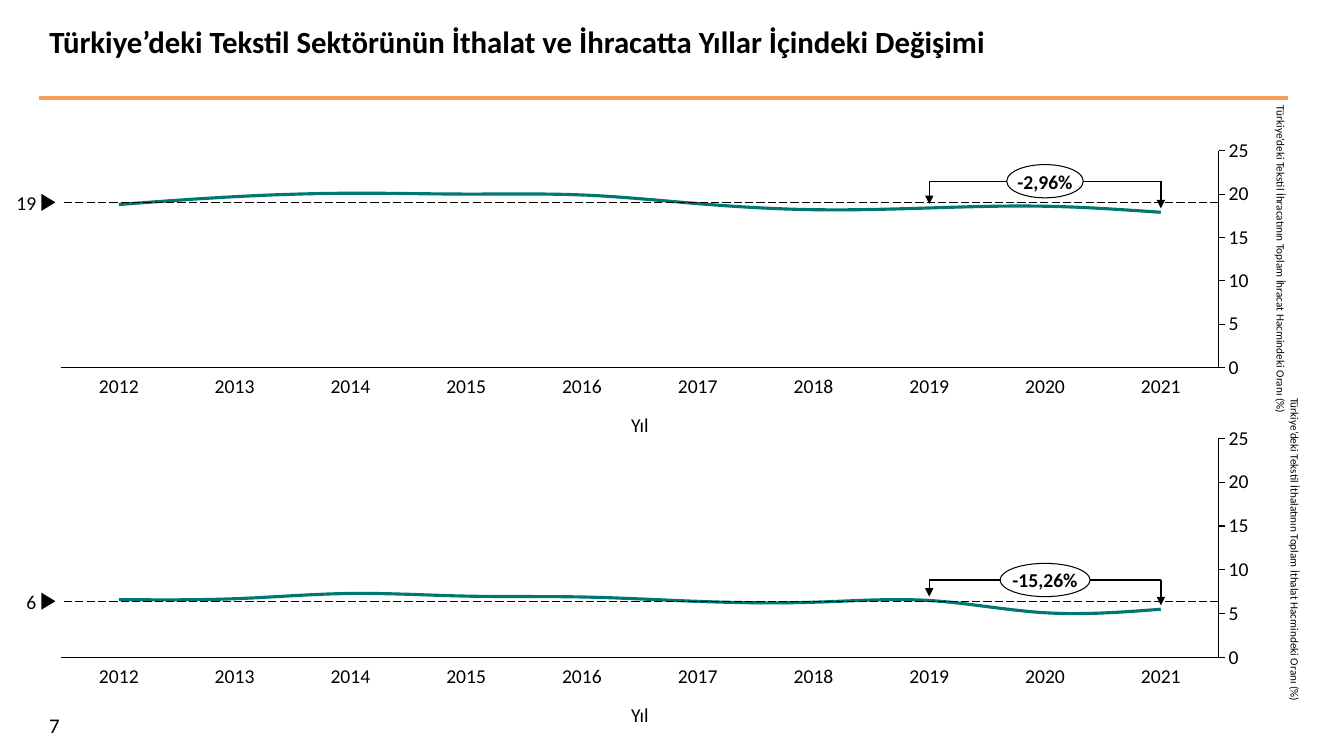
from dataclasses import dataclass

from lxml.etree import SubElement
from pptx import Presentation
from pptx.chart.data import CategoryChartData
from pptx.dml.color import RGBColor
from pptx.enum.chart import XL_CHART_TYPE as ChartType, XL_TICK_LABEL_POSITION as TickLabels
from pptx.enum.chart import XL_AXIS_CROSSES as Crosses, XL_TICK_MARK as TickMark
from pptx.enum.dml import MSO_LINE as Dash
from pptx.enum.shapes import MSO_CONNECTOR as Connector, MSO_SHAPE as Shape
from pptx.enum.text import MSO_ANCHOR as Anchor, PP_ALIGN as Align
from pptx.oxml import parse_xml
from pptx.oxml.ns import nsdecls, qn
from pptx.util import Inches, Pt

TITLE = "Türkiye’deki Tekstil Sektörünün İthalat ve İhracatta Yıllar İçindeki Değişimi"
PAGE_NUMBER = "7"
YEAR_TITLE = "Yıl"
YEARS = range(2012, 2022)
CHANGE_YEARS = (2019, 2021)
AXIS_MAX, AXIS_STEP = 25, 5
PANELS = [
    dict(axis_title="Türkiye’deki Tekstil İhracatının Toplam İhracat Hacmindeki Oranı (%)",
         axis_title_box=(12.64, 1.05, 0.13, 3.03),
         shares=[18.8, 19.7, 20.1, 20, 19.9, 18.9, 18.2, 18.4, 18.6, 17.9],
         mean_label="19", change="-2,96%", bubble_width=0.76, top=1.27, height=2.6),
    dict(axis_title="Türkiye’deki Tekstil İthalatının Toplam İthalat Hacmindeki Oranı (%)",
         axis_title_box=(12.78, 3.95, 0.13, 2.98),
         shares=[6.6, 6.7, 7.3, 7, 6.9, 6.4, 6.3, 6.5, 5.1, 5.5],
         mean_label="6", change="-15,26%", bubble_width=0.89, top=4.12, height=2.63),
]


@dataclass(frozen=True)
class Theme:
    font: str = "Calibri"
    ink: RGBColor = RGBColor(0, 0, 0)
    paper: RGBColor = RGBColor(255, 255, 255)
    accent: RGBColor = RGBColor(0xF8, 0x9D, 0x56)
    curve: RGBColor = RGBColor(0x00, 0x77, 0x70)
    title_size: float = 22
    page_size: float = 14.9
    label_size: float = 14
    chart_size: float = 10
    axis_title_size: float = 8


THEME = Theme()
CHART_LEFT, CHART_WIDTH = 0.52, 12.1
PLOT = dict(x=0.007, y=0.087, w=0.949, h=0.827)  # shares of the chart's size
PLOT_LEFT = CHART_LEFT + PLOT["x"] * CHART_WIDTH
PLOT_WIDTH = PLOT["w"] * CHART_WIDTH
YEAR_X = {year: PLOT_LEFT + (i + 0.5) * PLOT_WIDTH / len(YEARS) for i, year in enumerate(YEARS)}
LABEL_HEIGHT = 0.23


def inches(*lengths):
    return [Inches(length) for length in lengths]


def set_font(font, size, bold=False):
    font.name, font.size, font.bold = THEME.font, Pt(size), bold
    font.color.rgb = THEME.ink


def write(frame, text, size, align, anchor=Anchor.TOP, bold=False, wrap=False, insets=(0, 0)):
    frame.word_wrap, frame.vertical_anchor = wrap, anchor
    frame.margin_left = frame.margin_right = Inches(insets[0])
    frame.margin_top = frame.margin_bottom = Inches(insets[1])
    paragraph = frame.paragraphs[0]
    paragraph.text, paragraph.alignment = text, align
    set_font(paragraph.font, size, bold)


def add_label(slide, box, text, size=THEME.label_size, align=Align.CENTER, **options):
    frame = slide.shapes.add_textbox(*inches(*box)).text_frame
    write(frame, text, size, align, **options)
    return frame


def set_line(line, width, color=THEME.ink):
    line.width = Pt(width)
    line.color.rgb = color


def add_line(slide, start, end, width, color=THEME.ink, dash=None, arrow=False):
    connector = slide.shapes.add_connector(Connector.STRAIGHT, *inches(*start, *end))
    set_line(connector.line, width, color)
    if dash:
        connector.line.dash_style = dash
    if arrow:
        SubElement(connector.line._get_or_add_ln(), qn("a:tailEnd"), type="triangle")
    SubElement(connector._element.spPr, qn("a:effectLst"))


def add_filled(slide, kind, box, color):
    shape = slide.shapes.add_shape(kind, *inches(*box))
    shape.shadow.inherit = False
    shape.fill.solid()
    shape.fill.fore_color.rgb = color
    return shape


def fix_plot_area(chart):
    """Pin the inner plot area so that the labels drawn around it line up."""
    plot_area = chart._chartSpace.chart.plotArea
    for layout in plot_area.findall(qn("c:layout")):
        plot_area.remove(layout)
    places = dict(layoutTarget="inner", xMode="edge", yMode="edge", **PLOT)
    marks = "".join(f'<c:{tag} val="{value}"/>' for tag, value in places.items())
    plot_area.insert(0, parse_xml(
        f'<c:layout {nsdecls("c")}><c:manualLayout>{marks}</c:manualLayout></c:layout>'))


def move_to_right(value_axis):
    """Let the value axis cross after the last category, with its labels outside."""
    element = value_axis._element
    element.find(qn("c:axPos")).set("val", "r")
    crosses = element.find(qn("c:crosses"))
    crosses.set("val", "max")
    if element.find(qn("c:crossBetween")) is None:
        crosses.addnext(parse_xml(f'<c:crossBetween {nsdecls("c")} val="between"/>'))
    value_axis.tick_label_position = TickLabels.HIGH


def add_share_chart(slide, panel):
    data = CategoryChartData()
    data.categories = [str(number) for number in range(1, len(YEARS) + 1)]
    data.add_series("Series 1", panel["shares"])
    box = inches(CHART_LEFT, panel["top"], CHART_WIDTH, panel["height"])
    chart = slide.shapes.add_chart(ChartType.LINE, *box, data).chart
    chart.has_legend = chart.has_title = False
    set_font(chart.font, THEME.chart_size)
    fix_plot_area(chart)
    chart.plots[0].vary_by_categories = False
    curve = chart.plots[0].series[0]
    curve.smooth = True
    set_line(curve.format.line, 2.25, THEME.curve)

    years, shares = chart.category_axis, chart.value_axis
    for axis, tick_mark in ((years, TickMark.NONE), (shares, TickMark.OUTSIDE)):
        axis.has_major_gridlines = False
        axis.major_tick_mark, axis.minor_tick_mark = tick_mark, TickMark.NONE
        set_line(axis.format.line, 0.75)
    years.tick_label_position = TickLabels.NONE
    years.crosses = Crosses.MAXIMUM
    move_to_right(shares)
    shares.minimum_scale, shares.maximum_scale, shares.major_unit = 0, AXIS_MAX, AXIS_STEP
    shares.tick_labels.number_format = '#,##0;"-"#,##0'
    shares.tick_labels.number_format_is_linked = False
    set_font(shares.tick_labels.font, THEME.label_size)


def add_panel(slide, panel):
    shares = dict(zip(YEARS, panel["shares"]))
    plot_height = PLOT["h"] * panel["height"]
    plot_bottom = panel["top"] + PLOT["y"] * panel["height"] + plot_height
    share_scale = plot_height / AXIS_MAX
    mean_y = plot_bottom - sum(shares.values()) / len(shares) * share_scale
    rail_y = mean_y - 0.21
    first_x, last_x = (YEAR_X[year] for year in CHANGE_YEARS)

    add_share_chart(slide, panel)
    add_line(slide, (last_x, rail_y), (first_x, rail_y), 1)
    for year in CHANGE_YEARS:
        tip_y = plot_bottom - shares[year] * share_scale - 0.04
        add_line(slide, (YEAR_X[year], rail_y), (YEAR_X[year], tip_y), 1, arrow=True)

    pointer = add_filled(slide, Shape.RIGHT_ARROW, (0.41, mean_y - 0.085, 0.14, 0.17), THEME.ink)
    pointer.adjustments[0] = pointer.adjustments[1] = 1
    pointer.line.fill.background()
    add_line(slide, (PLOT_LEFT + PLOT_WIDTH, mean_y), (PLOT_LEFT, mean_y), 0.75, dash=Dash.LONG_DASH)
    add_label(slide, (0.16, mean_y - LABEL_HEIGHT / 2, 0.2, LABEL_HEIGHT), panel["mean_label"],
              align=Align.RIGHT, anchor=Anchor.MIDDLE)

    for year, x in YEAR_X.items():
        add_label(slide, (x - 0.205, plot_bottom + 0.06, 0.41, LABEL_HEIGHT), str(year))
    year_title_left = PLOT_LEFT + PLOT_WIDTH / 2 - 0.09
    add_label(slide, (year_title_left, plot_bottom + 0.45, 0.18, LABEL_HEIGHT), YEAR_TITLE)
    axis_title = add_label(slide, panel["axis_title_box"], panel["axis_title"],
                           THEME.axis_title_size, anchor=Anchor.BOTTOM)
    axis_title._txBody.bodyPr.set("vert", "eaVert")

    width, height = panel["bubble_width"], 0.33
    bubble_box = ((first_x + last_x - width) / 2, rail_y - height / 2, width, height)
    bubble = add_filled(slide, Shape.OVAL, bubble_box, THEME.paper)
    set_line(bubble.line, 0.75)
    write(bubble.text_frame, panel["change"], THEME.label_size, Align.CENTER, Anchor.MIDDLE, bold=True)


deck = Presentation()
deck.slide_width, deck.slide_height = inches(13.33, 7.5)
slide = deck.slides.add_slide(deck.slide_layouts[5])
title = slide.shapes.title
title.left, title.top, title.width, title.height = inches(0.39, 0.18, 12.38, 0.64)
write(title.text_frame, TITLE, THEME.title_size, Align.LEFT, bold=True, wrap=True, insets=(0.1, 0.05))
add_line(slide, (0.39, 0.97), (12.77, 0.97), 3, THEME.accent)
add_label(slide, (0.39, 7.02, 1.56, 0.27), PAGE_NUMBER, THEME.page_size, Align.LEFT,
          wrap=True, insets=(0.1, 0.05))
for panel in PANELS:
    add_panel(slide, panel)
deck.save("out.pptx")
